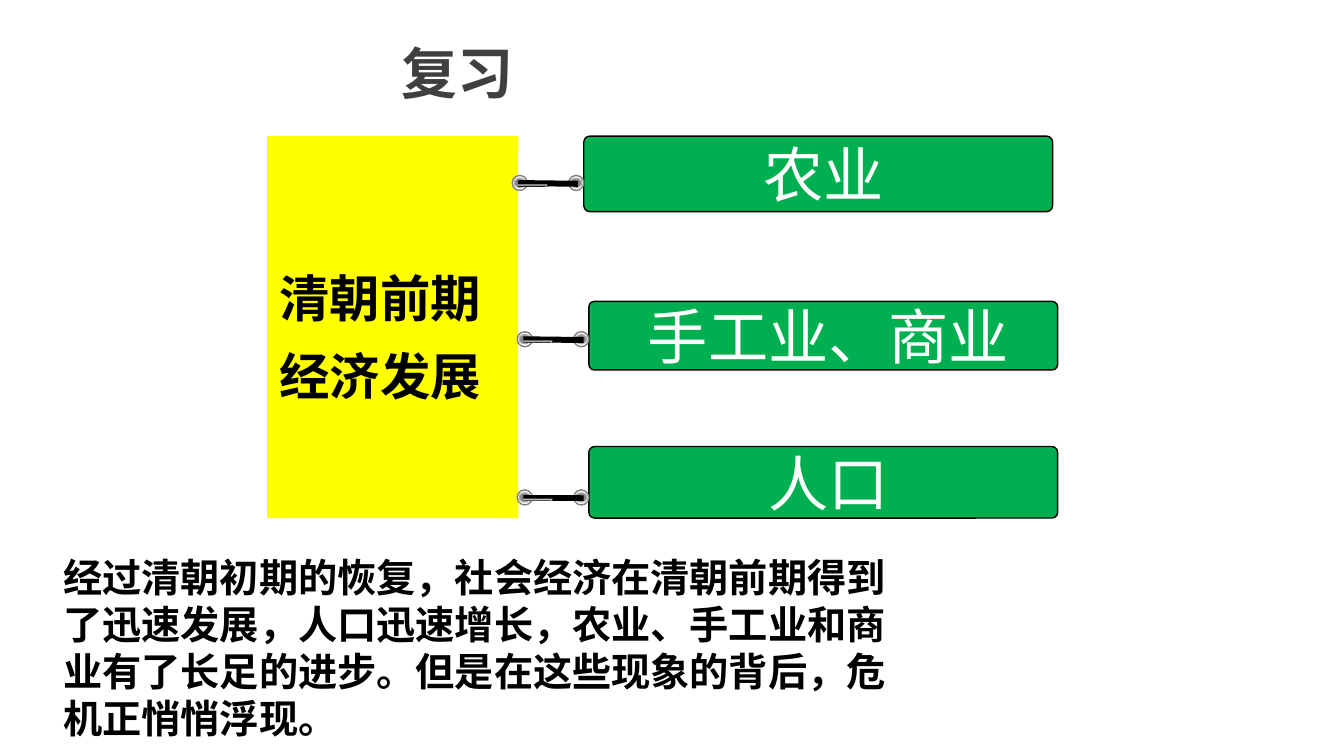
from pptx import Presentation
from pptx.dml.color import RGBColor
from pptx.enum.shapes import MSO_SHAPE as Shape
from pptx.enum.text import MSO_ANCHOR as Anchor, MSO_AUTO_SIZE as AutoSize, PP_ALIGN as Align
from pptx.oxml import parse_xml
from pptx.oxml.ns import nsdecls, qn
from pptx.util import Inches, Pt

# Content
TITLE = "复习"
TOPIC = "清朝前期经济发展"
# label, left, top, height, top of its link
BRANCHES = [
    ("农业", 5.79, 1.35, 0.75, 1.74),
    ("手工业、商业", 5.84, 2.99, 0.68, 3.29),
    ("人口", 5.84, 4.43, 0.71, 4.86),
]
SUMMARY = ("经过清朝初期的恢复，社会经济在清朝前期得到了迅速发展，人口迅速增长，"
           "农业、手工业和商业有了长足的进步。但是在这些现象的背后，危机正悄悄浮现。")

# Layout, in inches
PANEL = (2.65, 1.35, 2.49, 3.79)
BRANCH_WIDTH = 4.65
LINK_RIGHT_GAP = 0.15
RING, PIN_SPACING = 0.15, 0.56
CORNER = [(0, 0), (0.19, 0), (0.16, 0.03), (0.04, 0.03), (0.04, 0.13), (0, 0.16)]
YELLOW, GREEN, BLACK, WHITE = "FFFF00", "00B050", "000000", "FFFFFF"
ROD_STOPS = [(2, "000000"), (51, "C4C4C4"), (98, "000000")]


def color(hex_text):
    return RGBColor.from_string(hex_text)


def paint(shape, fill, line=None):
    shape.shadow.inherit = False
    shape.fill.solid()
    shape.fill.fore_color.rgb = color(fill)
    if line:
        shape.line.color.rgb = color(line)
        shape.line.width = Pt(1)
    else:
        shape.line.fill.background()
    return shape


def add_shape(shapes, kind, box, fill, line=None, rotation=0):
    shape = paint(shapes.add_shape(kind, *map(Inches, box)), fill, line)
    shape.rotation = rotation
    return shape


def write(shape, text, size, hex_text, bold=False, font="Calibri", align=Align.CENTER,
          anchor=Anchor.MIDDLE, insets=(0.1, 0.05, 0.1, 0.05), spacing=None):
    frame = shape.text_frame
    frame.text = text
    frame.word_wrap = True
    frame.auto_size = AutoSize.NONE
    frame.vertical_anchor = anchor
    (frame.margin_left, frame.margin_top,
     frame.margin_right, frame.margin_bottom) = map(Inches, insets)
    paragraph = frame.paragraphs[0]
    paragraph.alignment = align
    paragraph.line_spacing = spacing
    run_font = paragraph.runs[0].font
    run_font.name, run_font.size, run_font.bold = font, Pt(size), bold
    run_font.color.rgb = color(hex_text)


def add_corners(shapes):
    left, top, width, height = PANEL
    for x, x_sign in ((left, 1), (left + width, -1)):
        for y, y_sign in ((top, 1), (top + height, -1)):
            points = [(Inches(x + x_sign * dx), Inches(y + y_sign * dy)) for dx, dy in CORNER]
            builder = shapes.build_freeform(*points[0])
            builder.add_line_segments(points[1:], close=True)
            paint(builder.convert_to_shape(), YELLOW)


def add_link(shapes, right, top):
    # Two ringed pins
    for left in (right, right - PIN_SPACING):
        add_shape(shapes, Shape.OVAL, (left, top, RING, RING), WHITE, "808080", 270)
        add_shape(shapes, Shape.OVAL, (left + 0.02, top + 0.03, 0.11, 0.09),
                  "848484", "ABABAB", 0.7)
    # Shaded rod between them
    rod = add_shape(shapes, Shape.RECTANGLE, (right - 0.5, top + 0.05, 0.6, 0.06),
                    BLACK, rotation=0.7)
    stops = "".join(f'<a:gs pos="{pos * 1000}"><a:srgbClr val="{tone}"/></a:gs>'
                    for pos, tone in ROD_STOPS)
    gradient = parse_xml(
        f'<a:gradFill {nsdecls("a")} rotWithShape="1"><a:gsLst>{stops}</a:gsLst>'
        '<a:path path="rect"><a:fillToRect t="100000" r="100000"/></a:path></a:gradFill>')
    properties = rod._element.spPr
    properties.replace(properties.find(qn("a:solidFill")), gradient)


def main():
    deck = Presentation()
    deck.slide_width, deck.slide_height = Inches(13.33), Inches(7.5)
    slide = deck.slides.add_slide(deck.slide_layouts[5])

    # Topic panel
    panel_shapes = slide.shapes.add_group_shape().shapes
    panel = add_shape(panel_shapes, Shape.RECTANGLE, PANEL, YELLOW)
    write(panel, TOPIC, 36, BLACK, bold=True, insets=(0.07, 0.04, 0.32, 0.04), spacing=1.3)
    add_corners(panel_shapes)

    # Branches and their links
    for label, left, top, height, link_top in BRANCHES:
        branch = add_shape(slide.shapes, Shape.ROUNDED_RECTANGLE,
                           (left, top, BRANCH_WIDTH, height), GREEN, BLACK)
        branch.adjustments[0] = 0.08
        write(branch, label, 43, WHITE, insets=(0.2, 0, 0.1, 0))
        add_link(slide.shapes.add_group_shape().shapes, left - LINK_RIGHT_GAP, link_top)

    # Summary
    summary = slide.shapes.add_textbox(*map(Inches, (0.53, 5.44, 8.6, 1.98)))
    write(summary, SUMMARY, 28, BLACK, bold=True, align=Align.LEFT, anchor=Anchor.TOP)

    # Title
    title = slide.shapes.title
    title.left, title.top, title.width, title.height = map(Inches, (3.09, 0, 2.9, 1.11))
    write(title, TITLE, 40, "3F3F40", bold=True, font="Noto Sans CJK SC",
          anchor=Anchor.TOP, spacing=1.5)

    deck.save("out.pptx")


if __name__ == "__main__":
    main()
